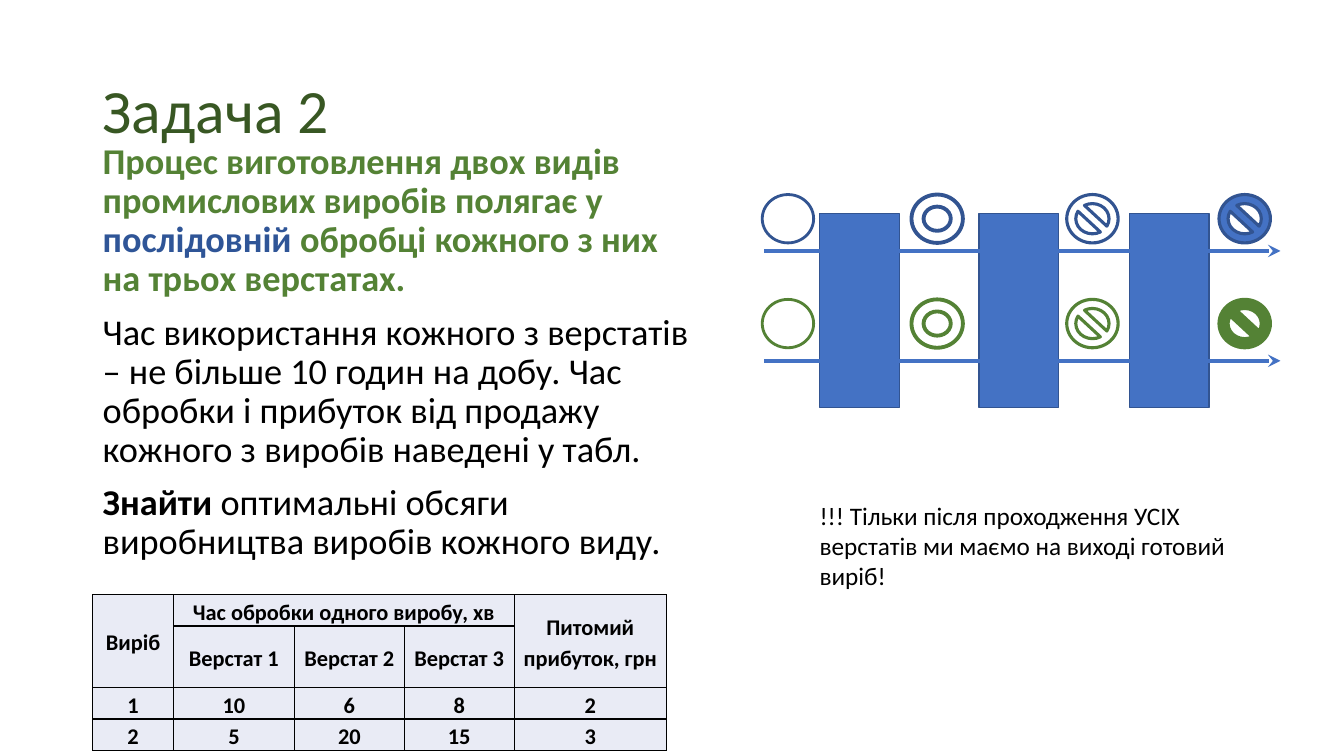
import lxml.etree
import pptx
import pptx.dml.color
import pptx.enum.shapes
import pptx.enum.text
import pptx.oxml.ns
import pptx.util

PX = 9144
FONT = "Calibri"
COLORS = {
    "title": "385723", "green": "548235", "navy": "2F5597", "black": "000000",
    "blue": "4472C4", "outline": "325491", "cell": "E9EBF5",
}
SHAPES = pptx.enum.shapes.MSO_SHAPE
MIDDLE = pptx.enum.text.MSO_ANCHOR.MIDDLE


def px(length):
    """Turn whole pixels into EMU."""
    return pptx.util.Emu(length * PX)


def color(name):
    """Look up a named colour."""
    return pptx.dml.color.RGBColor.from_string(COLORS[name])


def place(shape, box):
    """Move and size a shape to a pixel box."""
    shape.left, shape.top, shape.width, shape.height = map(px, box)


def add_run(paragraph, text, size, color_name="black", bold=False):
    """Append one formatted run."""
    run = paragraph.add_run()
    run.text = text
    run.font.name = FONT
    run.font.size = pptx.util.Pt(size)
    run.font.bold = bold
    run.font.color.rgb = color(color_name)


def add_title(slide, box):
    """Fill the title placeholder."""
    title = slide.shapes.title
    place(title, box)
    title.text_frame.vertical_anchor = MIDDLE
    paragraph = title.text_frame.paragraphs[0]
    paragraph.alignment = pptx.enum.text.PP_ALIGN.LEFT
    paragraph.line_spacing = 0.9
    add_run(paragraph, "Задача 2", 44, "title")


def add_text(slide, box, paragraphs, size, line_spacing=1.0):
    """Add a wrapped text box from paragraphs of runs."""
    frame = slide.shapes.add_textbox(*map(px, box)).text_frame
    frame.word_wrap = True
    for index, runs in enumerate(paragraphs):
        paragraph = frame.add_paragraph() if index else frame.paragraphs[0]
        paragraph.line_spacing = line_spacing
        paragraph.space_before = pptx.util.Pt(10 if index else 0)
        for text, color_name, bold in runs:
            add_run(paragraph, text, size, color_name, bold)


def add_borders(cell):
    """Draw thin black borders round a cell."""
    properties = cell._tc.get_or_add_tcPr()
    for position, side in enumerate(("lnL", "lnR", "lnT", "lnB")):
        line = lxml.etree.Element(pptx.oxml.ns.qn(f"a:{side}"), w="12700")
        fill = lxml.etree.SubElement(line, pptx.oxml.ns.qn("a:solidFill"))
        lxml.etree.SubElement(fill, pptx.oxml.ns.qn("a:srgbClr"), val=COLORS["black"])
        properties.insert(position, line)


def add_times_table(slide, box):
    """Add the table of machining times and profits."""
    rows = [
        ["Виріб", "Час обробки одного виробу, хв", "", "", "Питомий прибуток, грн"],
        ["", "Верстат 1", "Верстат 2", "Верстат 3", ""],
        ["1", "10", "6", "8", "2"],
        ["2", "5", "20", "15", "3"],
    ]
    table = slide.shapes.add_table(len(rows), len(rows[0]), *map(px, box)).table
    for column, width in zip(table.columns, (80, 120, 109, 109, 151)):
        column.width = px(width)
    for row, height in zip(table.rows, (31, 33, 31, 31)):
        row.height = px(height)
    for first, last in (((0, 0), (1, 0)), ((0, 1), (0, 3)), ((0, 4), (1, 4))):
        table.cell(*first).merge(table.cell(*last))
    for row_index, texts in enumerate(rows):
        for column_index, text in enumerate(texts):
            cell = table.cell(row_index, column_index)
            cell.fill.solid()
            cell.fill.fore_color.rgb = color("cell")
            add_borders(cell)
            cell.vertical_anchor = MIDDLE
            cell.margin_left = cell.margin_right = px(7)
            cell.margin_top = cell.margin_bottom = 0
            if text:
                paragraph = cell.text_frame.paragraphs[0]
                paragraph.alignment = pptx.enum.text.PP_ALIGN.CENTER
                paragraph.line_spacing = 1.15
                paragraph.space_after = pptx.util.Pt(10)
                add_run(paragraph, text, 16, bold=True)


def add_figure(slide, kind, box, fill, outline, weight):
    """Add an outlined preset shape, filled when a fill is named."""
    shape = slide.shapes.add_shape(kind, *map(px, box))
    shape.shadow.inherit = False
    if fill:
        shape.fill.solid()
        shape.fill.fore_color.rgb = color(fill)
    else:
        shape.fill.background()
    shape.line.color.rgb = color(outline)
    shape.line.width = pptx.util.Pt(weight)


def add_arrow(slide, left, right, y):
    """Add a horizontal conveyor arrow."""
    arrow = slide.shapes.add_connector(
        pptx.enum.shapes.MSO_CONNECTOR.STRAIGHT, px(left), px(y), px(right), px(y))
    arrow.line.color.rgb = color("blue")
    arrow.line.width = pptx.util.Pt(3)
    lxml.etree.SubElement(arrow.line._get_or_add_ln(), pptx.oxml.ns.qn("a:tailEnd"), type="stealth")
    lxml.etree.SubElement(arrow._element.spPr, pptx.oxml.ns.qn("a:effectLst"))


def add_process(slide, box):
    """Draw three machines and two products passing through them."""
    left, top, width, height = box
    for offset in (57, 215, 364):
        add_figure(slide, SHAPES.RECTANGLE, (left + offset, top + 19, 79, height - 19),
                   "blue", "outline", 1)
    for offset in (56, 165):
        add_arrow(slide, left + 2, left + width, top + offset)
    stages = [
        (0, SHAPES.OVAL, 2, False),
        (148, SHAPES.DONUT, 2.75, False),
        (302, SHAPES.NO_SYMBOL, 2.25, False),
        (453, SHAPES.NO_SYMBOL, 2.25, True),
    ]
    for row_offset, fill, outline in ((0, "blue", "outline"), (104, "green", "green")):
        for offset, kind, weight, finished in stages:
            add_figure(slide, kind, (left + offset, top + row_offset, 51, 48),
                       fill if finished else None, outline, weight)


def main():
    """Build and save the slide."""
    presentation = pptx.Presentation()
    presentation.slide_width, presentation.slide_height = px(1333), px(750)
    slide = presentation.slides.add_slide(presentation.slide_layouts[5])
    add_title(slide, (92, 40, 1150, 145))
    add_text(slide, (92, 137, 607, 442), [
        [("Процес виготовлення двох видів промислових виробів полягає у ", "green", True),
         ("послідовній", "navy", True),
         (" обробці кожного з них на трьох верстатах.", "green", True)],
        [("Час використання кожного з верстатів – не більше 10 годин на добу. "
          "Час обробки і прибуток від продажу кожного з виробів наведені у табл.",
          "black", False)],
        [("Знайти", "black", True),
         (" оптимальні обсяги виробництва виробів кожного виду.", "black", False)],
    ], 25.9, 0.9)
    add_times_table(slide, (92, 590, 569, 126))
    add_process(slide, (756, 193, 514, 211))
    add_text(slide, (803, 491, 478, 101), [
        [("!!! Тільки після проходження УСІХ верстатів ми маємо на виході готовий виріб!",
          "black", False)],
    ], 18)
    presentation.save("out.pptx")


if __name__ == "__main__":
    main()
